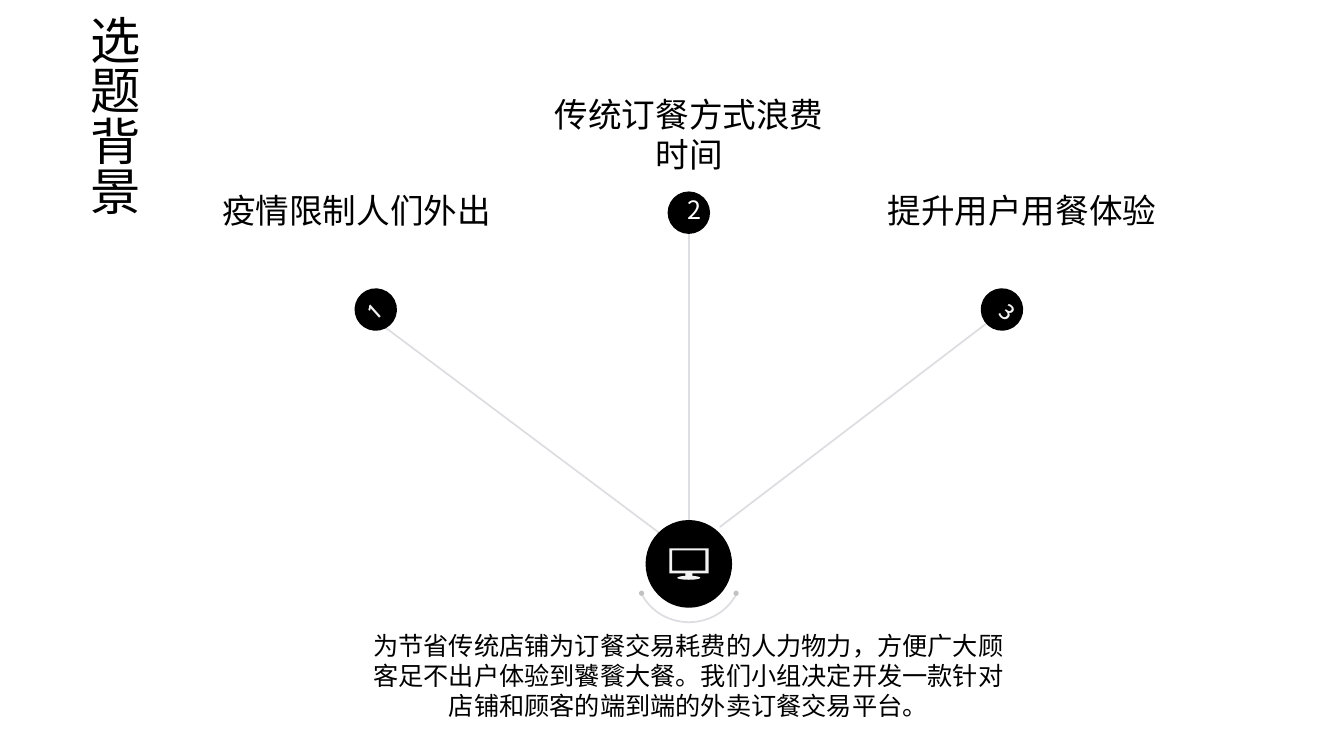
"""Build the topic background slide: three reasons leading to one hub."""
import math

from lxml import etree
from pptx import Presentation
from pptx.dml.color import RGBColor
from pptx.enum.shapes import MSO_CONNECTOR, MSO_SHAPE
from pptx.enum.text import PP_ALIGN
from pptx.oxml.ns import qn
from pptx.util import Cm, Pt

LINE = MSO_CONNECTOR.STRAIGHT
OVAL, ARC = MSO_SHAPE.OVAL, MSO_SHAPE.ARC
LEFT, CENTER = PP_ALIGN.LEFT, PP_ALIGN.CENTER
BLACK = RGBColor(0x00, 0x00, 0x00)
WHITE = RGBColor(0xFF, 0xFF, 0xFF)
PALE = RGBColor(0xF2, 0xF2, 0xF2)
RULE = RGBColor(0xDD, 0xDE, 0xE1)
DOT = RGBColor(0xC1, 0xC1, 0xC1)
CJK, LATIN = "Noto Sans CJK SC", "Cabin"
AXIS = 17.36

prs = Presentation()
prs.slide_width, prs.slide_height = Cm(33.87), Cm(19.05)
s = prs.slides.add_slide(prs.slide_layouts[6])


def add_oval(cx, cy, width, height, color):
    sp = s.shapes.add_shape(OVAL, Cm(cx - width / 2), Cm(cy - height / 2), Cm(width), Cm(height))
    sp.shadow.inherit = False
    sp.fill.solid()
    sp.fill.fore_color.rgb = color
    sp.line.fill.background()
    return sp


def add_text(text, box, size, color=BLACK, font=CJK, align=CENTER):
    sp = s.shapes.add_textbox(*(Cm(v) for v in box))
    sp.text_frame.word_wrap = True
    p = sp.text_frame.paragraphs[0]
    p.text, p.alignment = text, align
    p.font.size, p.font.name = Pt(size), font
    p.font.color.rgb = color
    etree.SubElement(p.font._rPr, qn("a:ea"), typeface=font)
    return sp


for x1, y1, x2, y2 in [
    (AXIS, 13.11, AXIS, 5.89),
    (18.14, 13.28, 24.99, 8.05),
    (16.59, 13.41, 9.68, 8.23),
]:
    spoke = s.shapes.add_connector(LINE, Cm(x1), Cm(y1), Cm(x2), Cm(y2))
    spoke.line.color.rgb = RULE
    spoke.line.width = Pt(1.25)
    etree.SubElement(spoke._element.spPr, qn("a:effectLst"))

arc = s.shapes.add_shape(ARC, Cm(16.03), Cm(13.11), Cm(2.67), Cm(2.57))
arc.shadow.inherit = False
arc.adjustments[0], arc.adjustments[1] = 16.005, 91.865
arc.fill.background()
arc.line.color.rgb = RULE
arc.line.width = Pt(1.25)
for side in (-1, 1):
    add_oval(AXIS + side * 1.19, 14.95, 0.13, 0.13, DOT)

for cx, cy, angle, digit, box, size, color, font, align in [
    (AXIS - 7.89, 7.8, 318.2, "1", (9.09, 7.42, 0.56, 0.94), 16, PALE, LATIN, LEFT),
    (AXIS, 5.36, 0, "2", (17.07, 4.78, 0.58, 1.02), 18, WHITE, CJK, CENTER),
    (AXIS + 7.89, 7.8, 41.1, "3", (25.02, 7.32, 0.56, 0.94), 16, PALE, LATIN, CENTER),
]:
    add_oval(cx, cy, 1.07, 1.07, BLACK).rotation = angle
    add_text(digit, box, size, color, font, align).rotation = angle

add_oval(AXIS, 14.21, 2.18, 2.21, BLACK)
stand = [(AXIS + 0.29 * math.cos(a), 14.56 + 0.05 * math.sin(a))
         for a in (math.radians(d) for d in range(-60, 241, 15))]
outer = [(17.86, 14.45), (17.86, 13.82), (16.87, 13.82), (16.87, 14.45),
         (17.27, 14.45), (17.27, 14.51), *reversed(stand), (17.45, 14.51), (17.45, 14.45)]
inner = [(16.94, 14.38), (16.94, 13.87), (17.78, 13.87), (17.78, 14.38)]
outer, inner = ([(Cm(x), Cm(y)) for x, y in points] for points in (outer, inner))
builder = s.shapes.build_freeform(*outer[0])
builder.add_line_segments(outer[1:])
builder.move_to(*inner[0])
builder.add_line_segments(inner[1:])
monitor = builder.convert_to_shape()
monitor.shadow.inherit = False
monitor.fill.solid()
monitor.fill.fore_color.rgb = PALE
monitor.line.fill.background()

for text, box, size in [
    ("疫情限制人们外出", (5.16, 4.67, 7.65, 1.27), 24),
    ("传统订餐方式浪费时间", (13.67, 2.24, 7.39, 2.31), 24),
    ("提升用户用餐体验", (21.69, 4.67, 8.13, 1.27), 24),
    ("为节省传统店铺为订餐交易耗费的人力物力，方便广大顾客足不出户体验到饕餮大餐。"
     "我们小组决定开发一款针对店铺和顾客的端到端的外卖订餐交易平台。",
     (8.86, 15.75, 16.97, 3.3), 18),
]:
    add_text(text, box, size)

title = add_text("选题背景", (1.7, 0.13, 2.06, 8), 36)
title.text_frame._txBody.bodyPr.set("vert", "eaVert")

prs.save("out.pptx")
